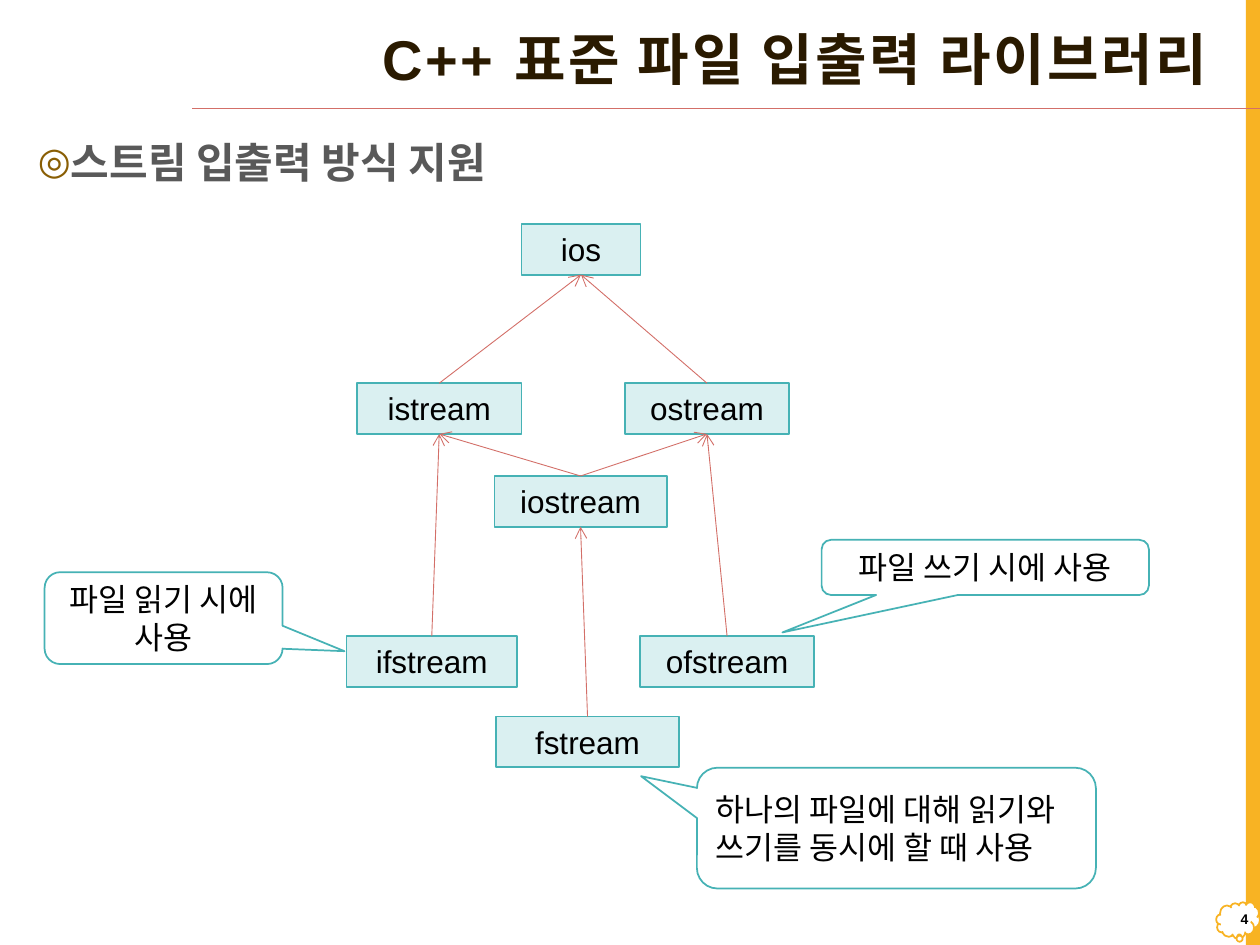
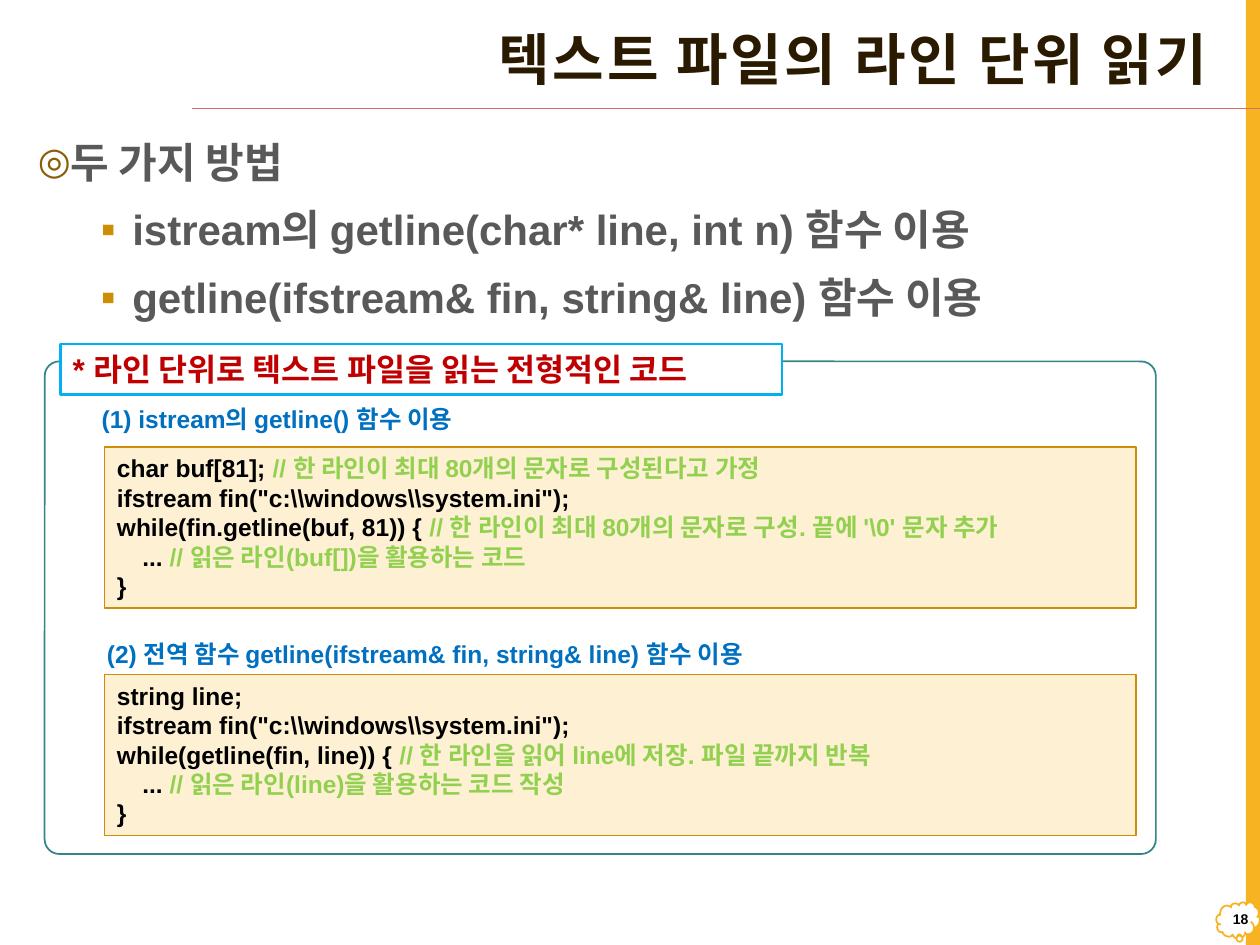
from dataclasses import dataclass

from lxml.etree import SubElement
from pptx import Presentation
from pptx.dml.color import RGBColor as RGB
from pptx.enum.shapes import MSO_CONNECTOR as CONN, MSO_SHAPE as SHAPE
from pptx.enum.text import MSO_ANCHOR as ANCHOR, PP_ALIGN as ALIGN
from pptx.oxml.ns import qn
from pptx.util import Pt


@dataclass(frozen=True)
class Theme:
    font: str = "Arial"
    title_font: str = "Roboto Condensed"
    white: str = "FFFFFF"
    black: str = "000000"
    gold: str = "F8B323"
    rule: str = "D36F68"
    title: str = "2A1A00"
    body: str = "595959"
    ring: str = "895E04"
    amber: str = "CE8D07"
    code_fill: str = "FEF0D3"
    comment: str = "92D050"
    node_fill: str = "DAF0F1"
    node_line: str = "46B2B5"
    panel_line: str = "358588"
    heading: str = "C00000"
    heading_line: str = "00B0F0"
    label: str = "0070C0"
    title_size: int = 32
    body_size: int = 24
    node_size: int = 18
    code_size: int = 14
    page_size: int = 8


T = Theme()


def apply(obj, **values):
    for name, value in values.items():
        setattr(obj, name, value)


def add_run(p, text, size, color, bold=False, font=T.font):
    r = p.add_run()
    r.text = text
    apply(r.font, size=Pt(size), bold=bold, name=font)
    r.font.color.rgb = RGB.from_string(color)
    return r


def setup_frame(sp, anchor=ANCHOR.TOP):
    tf = sp.text_frame
    apply(tf, word_wrap=True, vertical_anchor=anchor)
    return tf


def add_text(s, box, text, size, color, align=ALIGN.LEFT, anchor=ANCHOR.TOP, font=T.font):
    tf = setup_frame(s.shapes.add_textbox(*map(Pt, box)), anchor)
    p = tf.paragraphs[0]
    p.alignment = align
    return p, add_run(p, text, size, color, True, font)


def add_box(s, kind, box, fill, line, width=1, adjust=()):
    sp = s.shapes.add_shape(kind, *map(Pt, box))
    sp.shadow.inherit = False
    for i, value in enumerate(adjust):
        sp.adjustments[i] = value
    if fill:
        sp.fill.solid()
        sp.fill.fore_color.rgb = RGB.from_string(fill)
    else:
        sp.fill.background()
    if line:
        sp.line.color.rgb = RGB.from_string(line)
        sp.line.width = Pt(width)
    else:
        sp.line.fill.background()
    return sp


def add_line(s, start, end, width):
    c = s.shapes.add_connector(CONN.STRAIGHT, *map(Pt, start + end))
    c.line.color.rgb = RGB.from_string(T.rule)
    c.line.width = Pt(width)
    SubElement(c._element.spPr, qn("a:effectLst"))
    return c


def add_frame(prs, title, page, title_font=T.font):
    s = prs.slides.add_slide(prs.slide_layouts[6])
    add_box(s, SHAPE.RECTANGLE, (712, 0, 8, 540), T.gold, None)
    add_box(s, SHAPE.CLOUD_CALLOUT, (695, 515.5, 25, 21), T.white, T.gold,
            adjust=(0.03, 0.43))
    add_line(s, (720, 62), (110, 62), 1)
    p, r = add_text(s, (95, 9.5, 602.5, 52.5), title, T.title_size, T.title,
                    ALIGN.RIGHT, ANCHOR.MIDDLE, title_font)
    p.line_spacing = 0.9
    r.font._element.set("spc", "150")
    add_text(s, (695.5, 512.5, 25, 25), str(page), T.page_size, T.black,
             ALIGN.RIGHT, ANCHOR.MIDDLE)
    return s


def add_bullet(p, char, color, margin, percent):
    pPr = p._p.get_or_add_pPr()
    pPr.set("marL", str(Pt(margin)))
    pPr.set("indent", str(Pt(-18)))
    SubElement(SubElement(pPr, qn("a:buClr")), qn("a:srgbClr"), val=color)
    SubElement(pPr, qn("a:buSzPct"), val=str(percent * 1000))
    SubElement(pPr, qn("a:buFont"), typeface=T.font)
    SubElement(pPr, qn("a:buChar"), char=char)


def add_outline(s, topic, points=()):
    tf = setup_frame(s.shapes.add_textbox(*map(Pt, (14.5, 71.5, 686, 459))))
    for i, text in enumerate((topic, *points)):
        p = tf.add_paragraph() if i else tf.paragraphs[0]
        p.line_spacing = 1.1
        if i:
            apply(p, level=1, space_before=Pt(7))
            add_bullet(p, "▪", T.amber, 54, 100)
        else:
            add_bullet(p, "◎", T.ring, 18, 90)
        add_run(p, text, T.body_size, T.body, True)


def fill_shape(sp, text, align, anchor):
    p = setup_frame(sp, anchor).paragraphs[0]
    p.alignment = align
    add_run(p, text, T.node_size, T.black)


def add_class(s, name, left, top, width):
    sp = add_box(s, SHAPE.RECTANGLE, (left, top, width, 29), T.node_fill, T.node_line)
    fill_shape(sp, name, ALIGN.CENTER, ANCHOR.TOP)
    return sp


def add_inheritance(s, child, parent):
    c = add_line(s, (0, 0), (0, 0), 0.5)
    c.begin_connect(child, 0)
    c.end_connect(parent, 2)
    SubElement(c.line._get_or_add_ln(), qn("a:tailEnd"), type="arrow")


def add_callout(s, text, box, tip, align=ALIGN.CENTER):
    sp = add_box(s, SHAPE.ROUNDED_RECTANGULAR_CALLOUT, box, T.white, T.node_line,
                 adjust=(*tip, 0.17))
    fill_shape(sp, text, align, ANCHOR.MIDDLE)


def add_code(s, top, lines):
    sp = add_box(s, SHAPE.RECTANGLE, (59.75, top, 589.5, 92), T.code_fill, T.amber, 0.75)
    tf = setup_frame(sp)
    for i, (code, comment) in enumerate(lines):
        p = tf.add_paragraph() if i else tf.paragraphs[0]
        p.alignment = ALIGN.LEFT
        tabs = SubElement(p._p.get_or_add_pPr(), qn("a:tabLst"))
        SubElement(tabs, qn("a:tab"), pos=str(Pt(14.5)), algn="l")
        add_run(p, code, T.code_size, T.black, True)
        if comment:
            add_run(p, comment, T.code_size, T.comment, True)


def build_hierarchy(prs):
    s = add_frame(prs, "C++ 표준 파일 입출력 라이브러리", 4)
    add_outline(s, "스트림 입출력 방식 지원")
    places = {
        "ios": (298, 128, 68),
        "istream": (204, 219, 94),
        "ostream": (357, 219, 94),
        "iostream": (282.5, 272, 98.5),
        "ifstream": (198, 363.5, 97.5),
        "ofstream": (365.75, 363.5, 99.5),
        "fstream": (283.5, 409.5, 104.5),
    }
    classes = {name: add_class(s, name, *place) for name, place in places.items()}
    for child, parent in (
        ("istream", "ios"), ("ostream", "ios"),
        ("iostream", "istream"), ("iostream", "ostream"),
        ("ifstream", "istream"), ("ofstream", "ostream"), ("fstream", "iostream"),
    ):
        add_inheritance(s, classes[child], classes[parent])
    add_callout(s, "파일 읽기 시에 사용", (25.5, 327, 136, 52.5), (0.76, 0.36))
    add_callout(s, "파일 쓰기 시에 사용", (469.5, 308.5, 187, 31.5), (-0.62, 1.18))
    add_callout(s, "하나의 파일에 대해 읽기와 쓰기를 동시에 할 때 사용",
                (398.25, 438.75, 228, 69), (-0.64, -0.43), ALIGN.LEFT)


def build_line_reading(prs):
    s = add_frame(prs, "텍스트 파일의 라인 단위 읽기", 18, T.title_font)
    add_box(s, SHAPE.ROUNDED_RECTANGLE, (25.5, 206.5, 635, 281.5), None,
            T.panel_line, adjust=(0.03,))
    add_outline(s, "두 가지 방법", (
        "istream의 getline(char* line, int n) 함수 이용",
        "getline(ifstream& fin, string& line) 함수 이용",
    ))
    heading = (34.5, 196.5, 412.5, 29)
    add_box(s, SHAPE.RECTANGLE, heading, T.white, T.heading_line, 1.5)
    add_text(s, heading, "* 라인 단위로 텍스트 파일을 읽는 전형적인 코드",
             T.node_size, T.heading)
    open_file = ('ifstream fin("c:\\\\windows\\\\system.ini");', "")
    add_text(s, (51, 227.5, 420, 24.5), "(1) istream의 getline() 함수 이용",
             T.code_size, T.label)
    add_code(s, 255.5, (
        ("char buf[81]; ", "// 한 라인이 최대 80개의 문자로 구성된다고 가정"),
        open_file,
        ("while(fin.getline(buf, 81)) { ",
         "// 한 라인이 최대 80개의 문자로 구성. 끝에 '\\0' 문자 추가"),
        ("\t... ", "// 읽은 라인(buf[])을 활용하는 코드"),
        ("}", ""),
    ))
    add_text(s, (54, 361.5, 420, 24.5),
             "(2) 전역 함수 getline(ifstream& fin, string& line) 함수 이용",
             T.code_size, T.label)
    add_code(s, 385.5, (
        ("string line;", ""),
        open_file,
        ("while(getline(fin, line)) { ",
         "// 한 라인을 읽어 line에 저장. 파일 끝까지 반복"),
        ("\t... ", "// 읽은 라인(line)을 활용하는 코드 작성"),
        ("}", ""),
    ))


def main():
    prs = Presentation()
    apply(prs, slide_width=Pt(720), slide_height=Pt(540))
    build_hierarchy(prs)
    build_line_reading(prs)
    prs.save("out.pptx")


if __name__ == "__main__":
    main()
